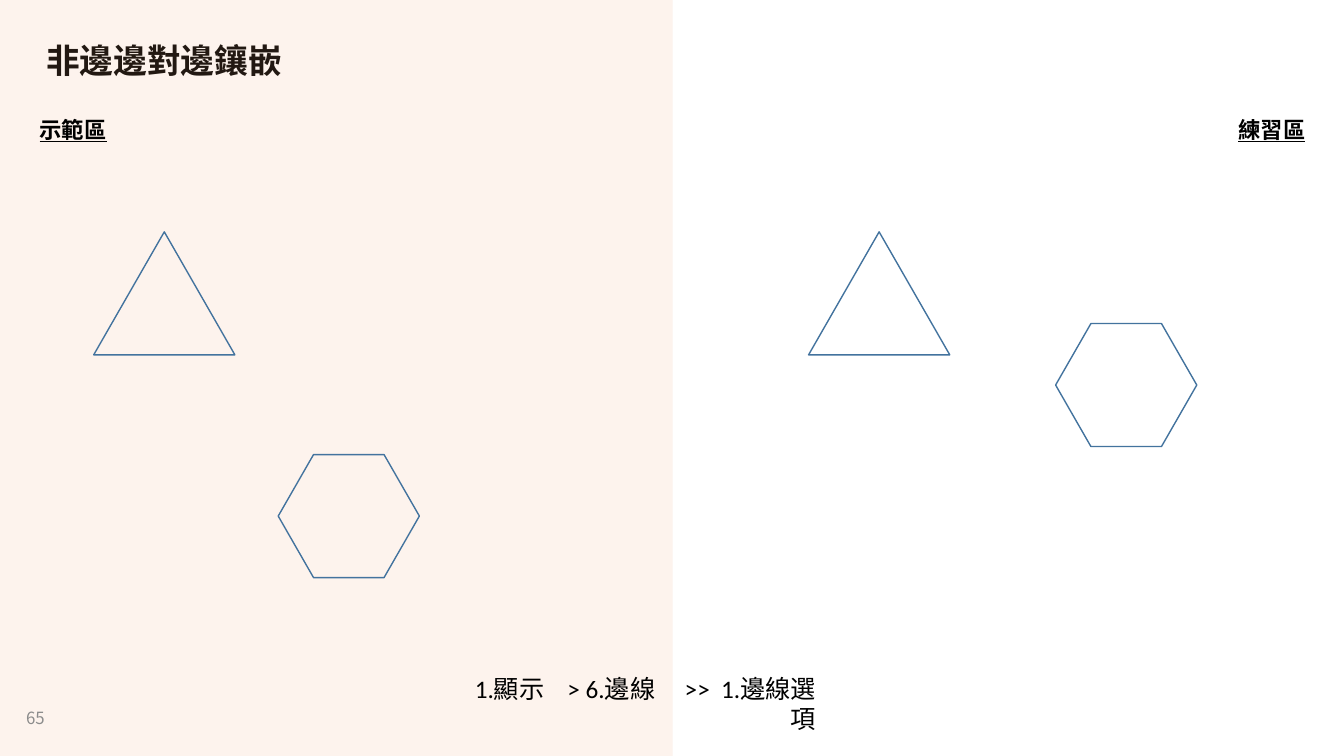
from dataclasses import dataclass
from lxml import etree
from pptx import Presentation
from pptx.dml.color import RGBColor
from pptx.enum.shapes import MSO_CONNECTOR, MSO_SHAPE
from pptx.enum.text import MSO_ANCHOR, PP_ALIGN
from pptx.oxml.ns import qn
from pptx.util import Inches, Pt

LEFT, CENTER, RIGHT = PP_ALIGN.LEFT, PP_ALIGN.CENTER, PP_ALIGN.RIGHT
TOP, MIDDLE = MSO_ANCHOR.TOP, MSO_ANCHOR.MIDDLE
RECT, STRAIGHT = MSO_SHAPE.RECTANGLE, MSO_CONNECTOR.STRAIGHT


@dataclass(frozen=True)
class Theme:
    cjk: str = "Noto Sans CJK SC"
    latin: str = "Calibri"
    ink: str = "000000"
    gray: str = "8C8C8C"
    panel: str = "F4B183"
    rule: str = "FBE5D6"
    edge: str = "43739E"
    title: int = 24
    steps: int = 18
    label: int = 16
    number: int = 12


THEME = Theme()
WIDE, HIGH, HALF = 13.33, 7.5, 6.67
SIDE, TALL = 1.4, 1.22
TRIANGLE = [(0.5, 0), (0, 1), (1, 1)]
HEXAGON = [(1, 0.5), (0.75, 0), (0.25, 0), (0, 0.5), (0.25, 1), (0.75, 1)]
TILES = [
    (TRIANGLE, 0.93, 2.3),
    (HEXAGON, 2.76, 4.51),
    (TRIANGLE, 8.02, 2.3),
    (HEXAGON, 10.47, 3.21),
]
STEPS = [("1.顯示", 12.5), ("> 6.邊線", 17), (">>", 4), ("1.邊線選項", 0)]


def fade(fill, percent):
    color = next(fill.iter(qn("a:srgbClr")))
    etree.SubElement(color, qn("a:alpha"), val=str(percent * 1000))


def style(para, size, face=THEME.cjk, color=THEME.ink, bold=False, line=False, align=LEFT):
    para.alignment = align
    font = para.font
    font.size, font.name, font.bold, font.underline = Pt(size), face, bold, line
    font.color.rgb = RGBColor.from_string(color)
    props = para._p.get_or_add_pPr().get_or_add_defRPr()
    etree.SubElement(props, qn("a:ea"), typeface=THEME.cjk)


def add_text(slide, box, text, size, anchor=TOP, wrap=True, **look):
    frame = slide.shapes.add_textbox(*map(Inches, box)).text_frame
    frame.word_wrap, frame.vertical_anchor = wrap, anchor
    para = frame.paragraphs[0]
    para.text = text
    style(para, size, **look)
    return para


def add_label(slide, left, text):
    add_text(slide, (left, 1.1, 0.87, 0.37), text, THEME.label,
             wrap=False, bold=True, line=True, align=CENTER)


def add_title(slide, text):
    title = slide.shapes.title
    title.left, title.top = Inches(0.36), Inches(0.4)
    title.width, title.height = Inches(5.95), Inches(0.44)
    frame = title.text_frame
    frame.text = text
    frame.word_wrap, frame.vertical_anchor = False, MIDDLE
    para = frame.paragraphs[0]
    para.line_spacing = 0.9
    style(para, THEME.title, bold=True)


def add_panel(slide):
    panel = slide.shapes.add_shape(RECT, 0, 0, Inches(HALF), Inches(HIGH))
    panel.shadow.inherit = False
    panel.fill.solid()
    panel.fill.fore_color.rgb = RGBColor.from_string(THEME.panel)
    fade(panel._element.spPr, 14)
    panel.line.fill.background()
    rule = slide.shapes.add_connector(
        STRAIGHT, Inches(HALF), Inches(HIGH), Inches(HALF), 0)
    rule.line.width = Pt(0.25)
    rule.line.color.rgb = RGBColor.from_string(THEME.rule)
    props = rule._element.spPr
    fade(props, 50)
    etree.SubElement(props, qn("a:effectLst"))


def add_tile(slide, points, left, top):
    spots = [(Inches(left + x * SIDE), Inches(top + y * TALL)) for x, y in points]
    build = slide.shapes.build_freeform(*spots[0])
    build.add_line_segments(spots[1:], close=True)
    tile = build.convert_to_shape()
    tile.shadow.inherit = False
    tile.fill.background()
    tile.line.width = Pt(1)
    tile.line.color.rgb = RGBColor.from_string(THEME.edge)


def add_steps(slide):
    para = add_text(slide, (4.4, 6.75, 3.79, 0.45), "", THEME.steps,
                    anchor=MIDDLE, face=THEME.latin, align=RIGHT)
    for text, gap in STEPS:
        para.add_run().text = text
        if gap:
            space = para.add_run()
            space.text = " "
            space._r.get_or_add_rPr().set("spc", str(int(gap * 100)))


def main():
    deck = Presentation()
    deck.slide_width, deck.slide_height = Inches(WIDE), Inches(HIGH)
    slide = deck.slides.add_slide(deck.slide_layouts[5])
    add_panel(slide)
    add_label(slide, 0.29, "示範區")
    add_label(slide, 12.18, "練習區")
    add_title(slide, "非邊邊對邊鑲嵌")
    add_text(slide, (0.16, 6.93, 0.67, 0.39), "65", THEME.number,
             anchor=MIDDLE, color=THEME.gray)
    for points, left, top in TILES:
        add_tile(slide, points, left, top)
    add_steps(slide)
    deck.save("out.pptx")


if __name__ == "__main__":
    main()
